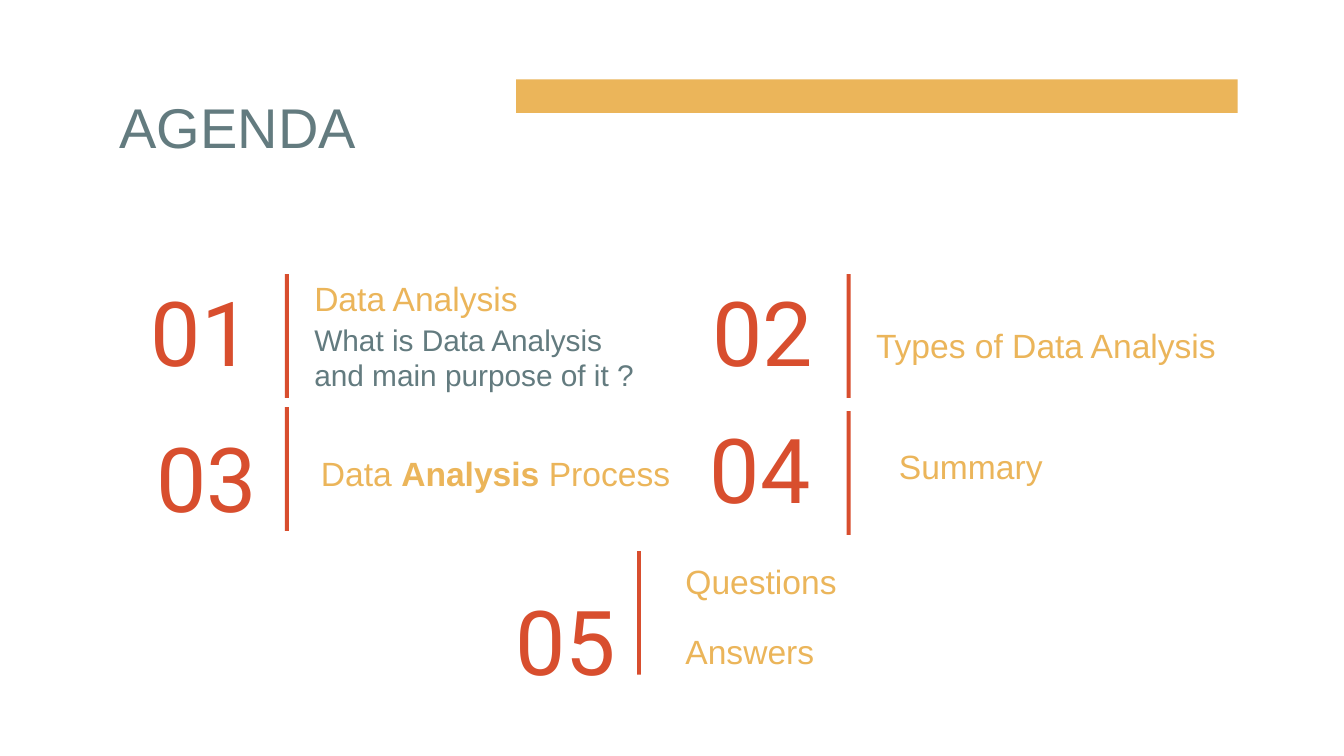
from pptx import Presentation
from pptx.dml.color import RGBColor
from pptx.enum.shapes import MSO_SHAPE
from pptx.enum.text import MSO_ANCHOR, MSO_AUTO_SIZE, PP_ALIGN
from pptx.oxml.ns import qn
from pptx.util import Pt
from lxml import etree

RECTANGLE = MSO_SHAPE.RECTANGLE
TOP, BOTTOM = MSO_ANCHOR.TOP, MSO_ANCHOR.BOTTOM
LEFT, RIGHT = PP_ALIGN.LEFT, PP_ALIGN.RIGHT
NO_AUTOFIT = MSO_AUTO_SIZE.NONE

PX = 9144  # EMU per px, at 100 px to the inch
GOLD, SLATE, RED = "EBB55A", "637B7F", "D84E2E"
INSET = 10
NUMBER_SIZE = (101, 92)
RULE_SIZE = (3, 92)

# Number, its place, and the place of the rule beside it
NUMBERS = [
    ("01", (96, 204), (212, 204)),
    ("02", (514, 204), (630, 204)),
    ("03", (100, 313), (212, 303)),
    ("04", (512, 306), (630, 306)),
    ("05", (367, 434), (474, 410)),
]

# Text spans as (words, bold), box, size, colour
TOPICS = [
    ([("Data Analysis", False)], (224, 197, 276, 37), 18, GOLD),
    ([("What is Data Analysis and main purpose of it ?", False)],
     (224, 229, 269, 93), 16, SLATE),
    ([("Types of Data Analysis", False)], (642, 232, 276, 37), 18, GOLD),
    ([("Data ", False), ("Analysis", True), (" Process", False)],
     (229, 327, 284, 71), 18, GOLD),
    ([("Summary", False)], (659, 322, 276, 37), 18, GOLD),
]


def color(hex_code):
    return RGBColor.from_string(hex_code)


def place(shape, left, top, width, height):
    shape.left, shape.top = left * PX, top * PX
    shape.width, shape.height = width * PX, height * PX


def set_frame(box, anchor=TOP):
    frame = box.text_frame
    frame.word_wrap = True
    frame.auto_size = NO_AUTOFIT
    frame.vertical_anchor = anchor
    frame.margin_left = frame.margin_right = INSET * PX
    frame.margin_top = frame.margin_bottom = INSET * PX
    return frame


def style(para, size, hex_code, font="Arial", align=LEFT):
    para.alignment = align
    para.space_before = Pt(0)
    para.font.size = Pt(size)
    para.font.name = font
    para.font.color.rgb = color(hex_code)


def style_topic(para, size, hex_code):
    para.space_after = Pt(16)
    style(para, size, hex_code)


def add_bar(page, left, top, width, height, fill):
    bar = page.shapes.add_shape(
        RECTANGLE, left * PX, top * PX, width * PX, height * PX)
    bar.shadow.inherit = False
    bar.fill.solid()
    bar.fill.fore_color.rgb = color(fill)
    bar.line.fill.background()


def add_box(page, left, top, width, height):
    return page.shapes.add_textbox(
        left * PX, top * PX, width * PX, height * PX)


def set_title(page, text):
    title = page.shapes.title
    place(title, 79, 59, 327, 63)
    frame = set_frame(title)
    frame.text = text
    style(frame.paragraphs[0], 30, SLATE)


def add_number(page, number, spot, rule_spot):
    frame = set_frame(add_box(page, *spot, *NUMBER_SIZE), BOTTOM)
    frame.text = number
    style(frame.paragraphs[0], 48, RED, "Roboto", RIGHT)
    add_bar(page, *rule_spot, *RULE_SIZE, RED)


def add_topic(page, spans, spot, size, hex_code):
    frame = set_frame(add_box(page, *spot))
    para = frame.paragraphs[0]
    for words, bold in spans:
        span = para.add_run()
        span.text = words
        if bold:
            span.font.bold = True
    style_topic(para, size, hex_code)


def set_closing_list(page, items):
    body = page.placeholders[1]
    place(body, 500, 407, 276, 102)
    frame = set_frame(body)
    frame.text = "\n".join(items)
    for para in frame.paragraphs:
        properties = para._p.get_or_add_pPr()
        properties.set("marL", "0")
        properties.set("indent", "0")
        etree.SubElement(properties, qn("a:buNone"))
        style_topic(para, 18, GOLD)


def main():
    deck = Presentation()
    deck.slide_width = 1000 * PX
    deck.slide_height = deck.slide_width * 9 // 16
    page = deck.slides.add_slide(deck.slide_layouts[1])

    # Heading
    add_bar(page, 384, 59, 537, 25, GOLD)
    set_title(page, "AGENDA")

    # Agenda items
    for number in NUMBERS:
        add_number(page, *number)
    for topic in TOPICS:
        add_topic(page, *topic)
    set_closing_list(page, ["Questions", "Answers"])

    deck.save("out.pptx")


if __name__ == "__main__":
    main()
